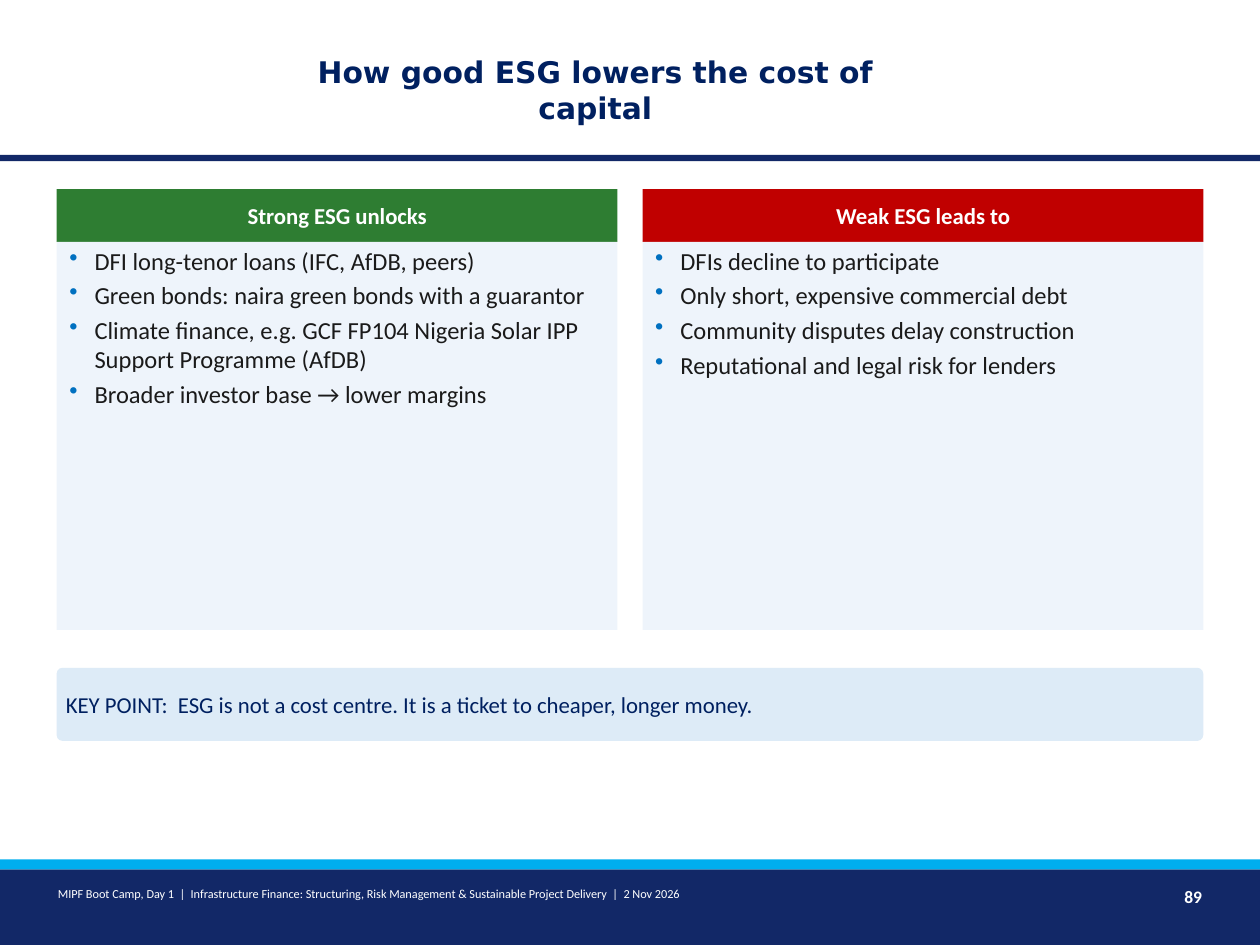
from dataclasses import dataclass

from lxml import etree
from pptx import Presentation
from pptx.dml.color import RGBColor
from pptx.enum.shapes import MSO_SHAPE
from pptx.enum.text import MSO_ANCHOR, PP_ALIGN
from pptx.oxml.ns import qn
from pptx.util import Inches, Pt

RECT, ROUNDED = MSO_SHAPE.RECTANGLE, MSO_SHAPE.ROUNDED_RECTANGLE
TOP, MIDDLE = MSO_ANCHOR.TOP, MSO_ANCHOR.MIDDLE
LEFT, CENTER, RIGHT = PP_ALIGN.LEFT, PP_ALIGN.CENTER, PP_ALIGN.RIGHT


@dataclass(frozen=True)
class Theme:
    navy: str = "122867"
    ink: str = "002060"
    cyan: str = "00AEEF"
    green: str = "2E7D32"
    red: str = "C00000"
    panel: str = "EEF4FB"
    callout: str = "DDEBF7"
    text: str = "1A1A1A"
    bullet: str = "0070C0"
    white: str = "FFFFFF"
    title_font: str = "DejaVu Sans"
    body_font: str = "Calibri"
    title_size: int = 17
    body_size: int = 14
    head_size: int = 13
    number_size: int = 10
    footer_size: int = 7


THEME = Theme()
WIDTH, HEIGHT = 10, 7.5
MARGIN, GAP = 0.45, 0.2
HEAD_HEIGHT = 0.42
PADDING = (0.06, 0.03)

COLUMNS = [
    ("Strong ESG unlocks", THEME.green, [
        "DFI long-tenor loans (IFC, AfDB, peers)",
        "Green bonds: naira green bonds with a guarantor",
        "Climate finance, e.g. GCF FP104 Nigeria Solar IPP Support Programme (AfDB)",
        "Broader investor base → lower margins",
    ]),
    ("Weak ESG leads to", THEME.red, [
        "DFIs decline to participate",
        "Only short, expensive commercial debt",
        "Community disputes delay construction",
        "Reputational and legal risk for lenders",
    ]),
]


def add_bullet(para):
    """Give a paragraph a coloured bullet with a hanging indent."""
    props = para._p.get_or_add_pPr()
    props.set("marL", str(Inches(0.24)))
    props.set("indent", str(Inches(-0.2)))
    color = etree.SubElement(props, qn("a:buClr"))
    etree.SubElement(color, qn("a:srgbClr"), val=THEME.bullet)
    etree.SubElement(props, qn("a:buChar"), char="•")


def write(shape, *lines, size, color, font=THEME.body_font, bold=False,
          align=LEFT, anchor=TOP, padding=PADDING, bullets=False):
    """Write one paragraph per line with a shared format."""
    frame = shape.text_frame
    frame.word_wrap = True
    frame.vertical_anchor = anchor
    frame.margin_left = frame.margin_right = Inches(padding[0])
    frame.margin_top = frame.margin_bottom = Inches(padding[1])
    for index, line in enumerate(lines):
        para = frame.paragraphs[0] if index == 0 else frame.add_paragraph()
        para.alignment = align
        if bullets:
            para.space_after = Pt(3)
            add_bullet(para)
        span = para.add_run()
        span.text = line
        span.font.name = font
        span.font.size = Pt(size)
        span.font.bold = bold
        span.font.color.rgb = RGBColor.from_string(color)


def add_panel(page, box, fill, kind=RECT):
    panel = page.shapes.add_shape(kind, *map(Inches, box))
    panel.shadow.inherit = False
    panel.fill.solid()
    panel.fill.fore_color.rgb = RGBColor.from_string(fill)
    panel.line.fill.background()
    return panel


def add_label(page, box, text, **style):
    write(page.shapes.add_textbox(*map(Inches, box)), text, **style)


def add_header(page, box, title):
    """Centred title above a full-width rule."""
    left, top, width, height = box
    rule = 0.05
    add_panel(page, (left, top + height - rule, width, rule), THEME.navy)
    add_label(page, (left + 0.23 * width, top + 0.22, 0.485 * width, 0.98),
              title, size=THEME.title_size, color=THEME.ink, bold=True,
              font=THEME.title_font, align=CENTER, anchor=MIDDLE,
              padding=(0.1, 0.05))


def add_column(page, box, heading, color, points):
    """Coloured heading over a panel of bullets."""
    left, top, width, height = box
    head = add_panel(page, (left, top, width, HEAD_HEIGHT), color)
    write(head, heading, size=THEME.head_size, color=THEME.white, bold=True,
          align=CENTER, anchor=MIDDLE)
    body = add_panel(page, (left, top + HEAD_HEIGHT, width,
                            height - HEAD_HEIGHT), THEME.panel)
    write(body, *points, size=THEME.body_size, color=THEME.text, bullets=True)


def add_comparison(page, box, columns):
    """Equal columns side by side."""
    left, top, width, height = box
    column_width = (width - GAP * (len(columns) - 1)) / len(columns)
    for index, column in enumerate(columns):
        column_left = left + index * (column_width + GAP)
        add_column(page, (column_left, top, column_width, height), *column)


def add_key_point(page, box, text):
    callout = add_panel(page, box, THEME.callout, ROUNDED)
    callout.adjustments[0] = 0.08
    write(callout, text, size=THEME.head_size, color=THEME.ink, anchor=MIDDLE)


def add_footer(page, box, text, number):
    """Dark band with an accent strip, course line and page number."""
    left, top, width, height = box
    strip = 0.08
    add_panel(page, (left, top + strip, width, height - strip), THEME.navy)
    add_panel(page, (left, top, width, strip), THEME.cyan)
    line_top = top + strip + 0.1
    add_label(page, (left + 0.04 * width, line_top, 0.68 * width, 0.35), text,
              size=THEME.footer_size, color=THEME.white)
    add_label(page, (left + 0.9 * width, line_top, 0.06 * width, 0.35), number,
              size=THEME.number_size, color=THEME.white, bold=True, align=RIGHT)


def main():
    deck = Presentation()
    deck.slide_width, deck.slide_height = Inches(WIDTH), Inches(HEIGHT)
    page = deck.slides.add_slide(deck.slide_layouts[6])
    content_width = WIDTH - 2 * MARGIN

    add_header(page, (0, 0, WIDTH, 1.28),
               "How good ESG lowers the cost of capital")
    add_footer(page, (0, 6.82, WIDTH, HEIGHT - 6.82),
               "MIPF Boot Camp, Day 1  |  Infrastructure Finance: Structuring, "
               "Risk Management & Sustainable Project Delivery  |  2 Nov 2026",
               "89")
    add_comparison(page, (MARGIN, 1.5, content_width, 3.5), COLUMNS)
    add_key_point(page, (MARGIN, 5.3, content_width, 0.58),
                  "KEY POINT:  ESG is not a cost centre. "
                  "It is a ticket to cheaper, longer money.")
    deck.save("out.pptx")


if __name__ == "__main__":
    main()
